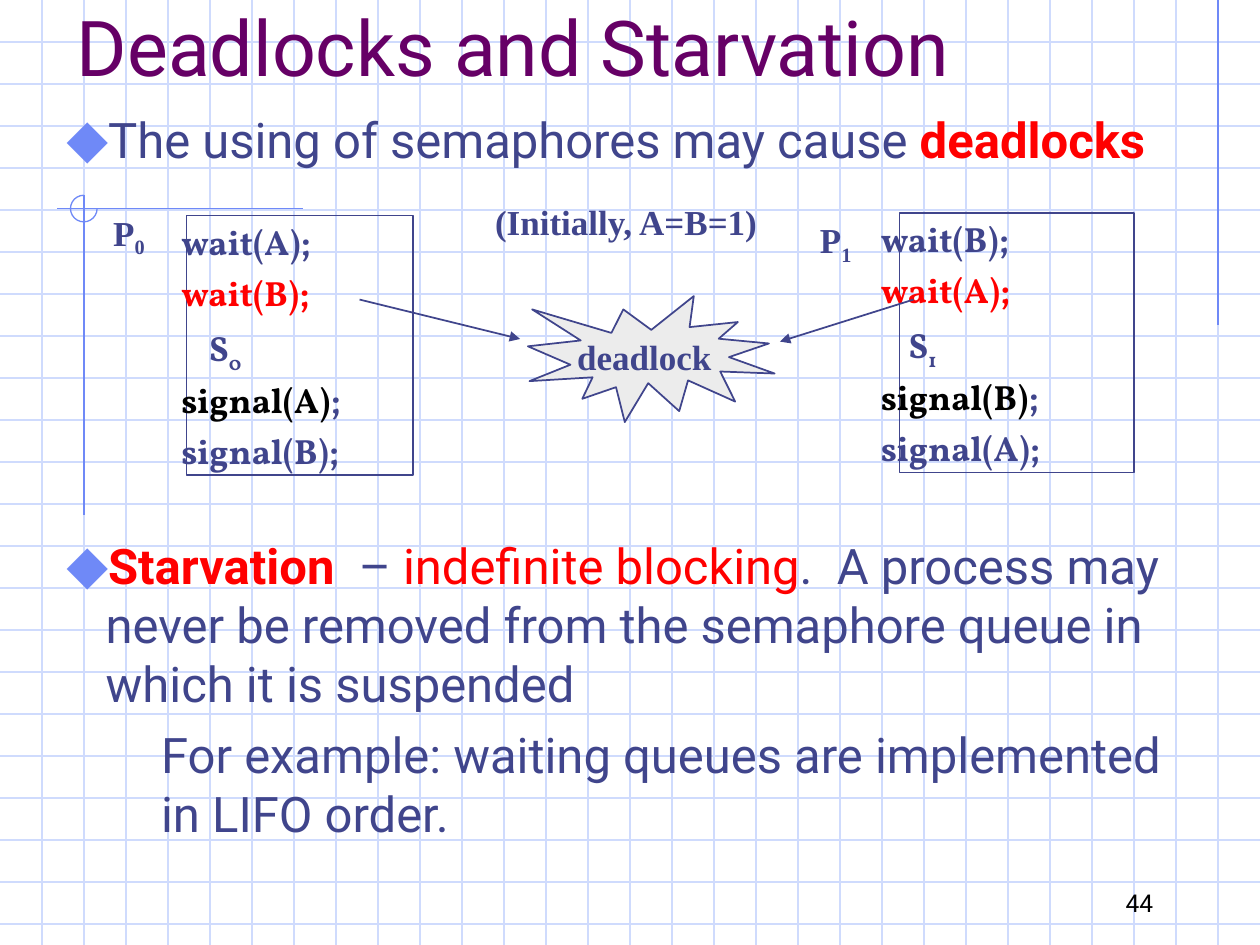
from lxml.etree import SubElement
from pptx import Presentation
from pptx.dml.color import RGBColor
from pptx.enum.shapes import MSO_CONNECTOR as Line, MSO_SHAPE as Preset
from pptx.enum.text import MSO_ANCHOR as Anchor, MSO_AUTO_SIZE as AutoSize, PP_ALIGN as Align
from pptx.oxml.ns import qn
from pptx.util import Pt

INK = RGBColor(0x40, 0x45, 0x8C)
RED = RGBColor(0xFF, 0x00, 0x00)
BLACK = RGBColor(0x00, 0x00, 0x00)
PURPLE = RGBColor(0x66, 0x00, 0x66)
GRID = RGBColor(0xCF, 0xDB, 0xFD)
ACCENT = RGBColor(0x6F, 0x89, 0xF7)
BURST = RGBColor(0xEC, 0xEC, 0xEC)
WIDTH, HEIGHT, STEP = 720, 540, 24


def add_line(slide, start, end, color, weight=0.75, arrow=False):
    line = slide.shapes.add_connector(Line.STRAIGHT, *map(Pt, start + end))
    line.line.color.rgb = color
    line.line.width = Pt(weight)
    if arrow:
        SubElement(line.line._get_or_add_ln(), qn("a:tailEnd"), type="triangle")
    SubElement(line._element.spPr, qn("a:effectLst"))


def add_preset(slide, preset, box, color, weight=1, fill=None):
    shape = slide.shapes.add_shape(preset, *map(Pt, box))
    shape.shadow.inherit = False
    if fill is None:
        shape.fill.background()
    else:
        shape.fill.solid()
        shape.fill.fore_color.rgb = fill
    shape.line.color.rgb = color
    shape.line.width = Pt(weight)
    return shape


def set_indent(paragraph, left, first=0, bullet=None):
    props = paragraph._p.get_or_add_pPr()
    props.set("marL", str(Pt(left)))
    props.set("indent", str(Pt(first)))
    if bullet:
        color = SubElement(props, qn("a:buClr"))
        SubElement(color, qn("a:srgbClr"), val=str(ACCENT))
        SubElement(props, qn("a:buSzPct"), val="110000")
        SubElement(props, qn("a:buFont"), typeface="Roboto")
        SubElement(props, qn("a:buChar"), char=bullet)


def set_font(paragraph, name, size, bold=None, color=None):
    font = paragraph.font
    font.name, font.size, font.bold = name, Pt(size), bold
    if color is not None:
        font.color.rgb = color


def add_runs(paragraph, runs):
    for text, color, bold in runs:
        run = paragraph.add_run()
        run.text = text
        run.font.color.rgb = color
        if bold:
            run.font.bold = True


def add_text_frame(slide, box):
    frame = slide.shapes.add_textbox(*map(Pt, box)).text_frame
    frame.word_wrap = True
    return frame


def add_label(slide, box, text, subscript=""):
    paragraph = add_text_frame(slide, box).paragraphs[0]
    paragraph.line_spacing = 0.9
    set_font(paragraph, "Times New Roman", 20, True, INK)
    paragraph.add_run().text = text
    if subscript:
        add_subscript(paragraph, subscript)


def add_subscript(paragraph, digit):
    run = paragraph.add_run()
    run.text = digit
    run._r.get_or_add_rPr().set("baseline", "-25000")


def draw_background(slide):
    for y in range(STEP, HEIGHT, STEP):
        add_line(slide, (0, y), (WIDTH, y), GRID)
    for x in range(STEP, WIDTH, STEP):
        add_line(slide, (x, 0), (x, HEIGHT), GRID)
    add_line(slide, (696, 0), (696, 186), ACCENT)
    add_line(slide, (173, 119.3), (32.5, 119.3), ACCENT)
    add_line(slide, (48, 111.6), (48, 294.5), ACCENT)
    ring = add_preset(slide, Preset.ARC, (40.3, 111.6, 15.2, 15.2), ACCENT, 0.75)
    ring.adjustments[0] = 0
    ring.adjustments[1] = 162


def place_title(slide, box):
    title = slide.shapes.title
    slide.shapes._spTree.append(title._element)
    title.left, title.top, title.width, title.height = map(Pt, box)
    frame = title.text_frame
    frame.auto_size = AutoSize.NONE
    frame.vertical_anchor = Anchor.MIDDLE
    frame.text = "Deadlocks and Starvation"
    heading = frame.paragraphs[0]
    heading.alignment = Align.LEFT
    set_font(heading, "Roboto", 44, color=PURPLE)


def add_point(slide, box, runs, example=None):
    frame = add_text_frame(slide, box)
    point = frame.paragraphs[0]
    set_indent(point, 22.3, -22.3, "◆")
    set_font(point, "Roboto", 28)
    add_runs(point, runs)
    if example:
        detail = frame.add_paragraph()
        detail.level = 1
        set_indent(detail, 54)
        detail.space_before = Pt(7)
        set_font(detail, "Roboto", 28, color=INK)
        detail.add_run().text = example


def add_process(slide, frame_box, code_left, label_at, index, first, second):
    add_preset(slide, Preset.RECTANGLE, frame_box, INK)
    code = add_text_frame(slide, (code_left, frame_box[1] + 2, 157, 177))
    steps = [
        [(f"wait({first});", INK, False)],
        [(f"wait({second});", RED, False)],
        [("S", INK, False)],
        [(f"signal({first})", BLACK, False), (";", INK, False)],
        [(f"signal({second});", INK, False)],
    ]
    for row, runs in enumerate(steps):
        step = code.add_paragraph() if row else code.paragraphs[0]
        step.line_spacing = 0.9
        if row:
            step.space_before = Pt(7.5)
        if row == 2:
            set_indent(step, 16)
        set_font(step, "Vollkorn", 20, True, INK)
        add_runs(step, runs)
        if row == 2:
            add_subscript(step, index)
    add_label(slide, (*label_at, 42, 31.5), "P", index)


def add_deadlock(slide, box):
    left, top, width, height = box
    add_preset(slide, Preset.EXPLOSION1, box, INK, fill=BURST)
    add_label(slide, (left + 21, top + 21.5, 98, 29), "deadlock")
    add_line(slide, (205.5, 171.2), (left - 4.5, top + 24.5), INK, 1, True)
    add_line(slide, (522, 171.2), (left + width + 3, top + 26), INK, 1, True)


def add_page_number(slide, box):
    frame = add_text_frame(slide, box)
    frame.vertical_anchor = Anchor.BOTTOM
    number = frame.paragraphs[0]
    number.alignment = Align.RIGHT
    set_font(number, "Roboto", 14, color=BLACK)
    number.add_run().text = "44"


def main():
    prs = Presentation()
    prs.slide_width, prs.slide_height = Pt(WIDTH), Pt(HEIGHT)
    slide = prs.slides.add_slide(prs.slide_layouts[5])
    draw_background(slide)
    place_title(slide, (36.7, 0, 574.6, 52.6))
    add_point(slide, (31, 59, 664, 45), [
        ("The using of semaphores may cause ", INK, False),
        ("deadlocks", RED, True),
    ])
    add_point(slide, (31, 302.5, 664, 201.5), [
        ("Starvation", RED, True),
        ("  – ", INK, False),
        ("indefinite blocking", RED, False),
        (".  A process may never be removed from the semaphore queue "
         "in which it is suspended", INK, False),
    ], "For example: waiting queues are implemented in LIFO order.")
    add_process(slide, (106.6, 123.2, 129.6, 148.3), 96.5, (57.6, 117.4), "0", "A", "B")
    add_process(slide, (514, 121.7, 134, 148.3), 496.2, (461.5, 121.7), "1", "B", "A")
    add_label(slide, (275.8, 113.8, 170, 29), "(Initially, A=B=1)")
    add_deadlock(slide, (301.7, 169.2, 141, 72))
    add_page_number(slide, (516.2, 491.8, 149.8, 36))
    prs.save("out.pptx")


if __name__ == "__main__":
    main()
